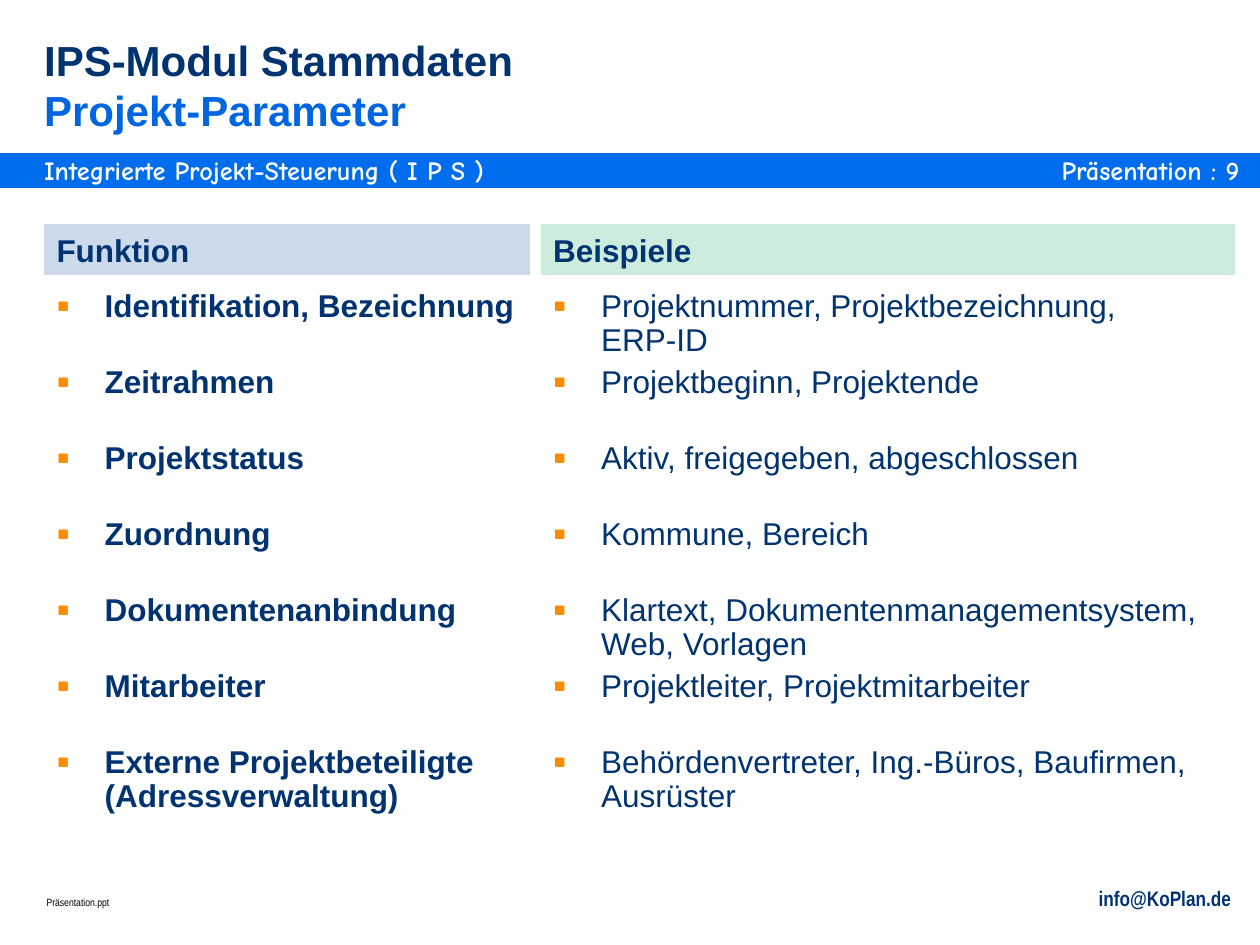
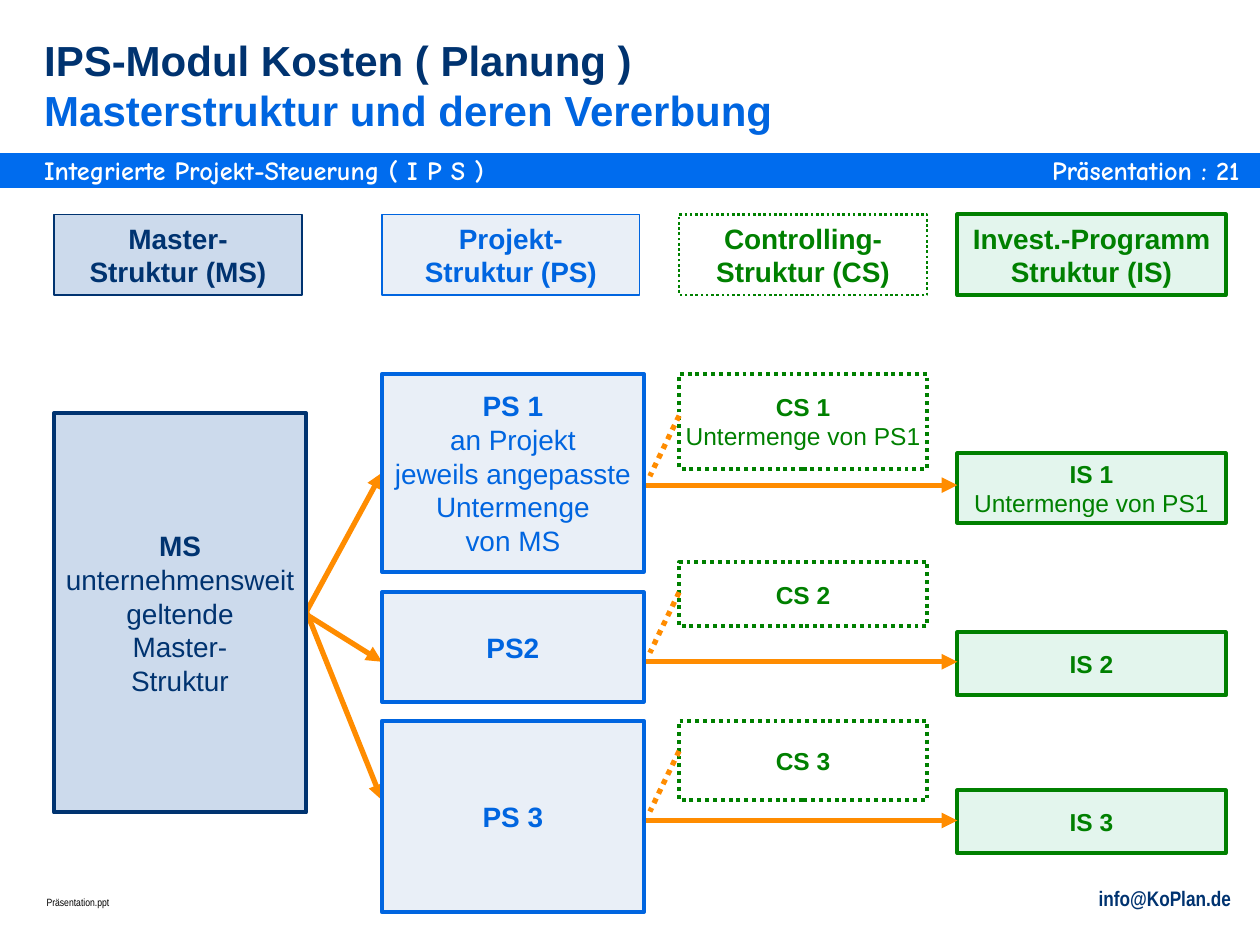
"""Build two slides on the IPS modules: project parameters and cost structures."""
from dataclasses import dataclass

from lxml import etree
from pptx import Presentation
from pptx import util as u
from pptx.dml.color import RGBColor
from pptx.enum import dml, shapes, text
from pptx.oxml import ns


@dataclass(frozen=True)
class Theme:
    """Colours, fonts and type sizes of the deck."""
    navy: str = "003370"
    blue: str = "0065E0"
    band: str = "006CEE"
    green: str = "008000"
    orange: str = "FF8C00"
    white: str = "FFFFFF"
    black: str = "000000"
    pale_navy: str = "CCDAEC"
    pale_blue: str = "E9EFF7"
    pale_green: str = "E3F5ED"
    mint: str = "CCECDE"
    sans: str = "Arial"
    narrow: str = "Arial Narrow"
    casual: str = "Comic Neue"
    title: float = 24
    body: float = 18
    box: float = 16
    detail: float = 14
    banner: float = 15
    contact: float = 12
    tiny: float = 6


T = Theme()
LEFT = 0.89
INSET = (0.25, 0.13)
LIST_PITCH, LIST_LINE, LINE_CHARS = 43.4, 19.45, 40

PARAMETERS = [
    ("Identifikation, Bezeichnung", "Projektnummer, Projektbezeichnung,\vERP-ID"),
    ("Zeitrahmen", "Projektbeginn, Projektende"),
    ("Projektstatus", "Aktiv, freigegeben, abgeschlossen"),
    ("Zuordnung", "Kommune, Bereich"),
    ("Dokumentenanbindung", "Klartext, Dokumentenmanagementsystem, Web, Vorlagen"),
    ("Mitarbeiter", "Projektleiter, Projektmitarbeiter"),
    ("Externe Projektbeteiligte\v(Adressverwaltung)",
     "Behördenvertreter, Ing.-Büros, Baufirmen, Ausrüster"),
]


@dataclass(frozen=True)
class Structure:
    """One column of boxes: place, look, heading and (top, height, lines) per box."""
    left: float
    width: float
    fill: str
    ink: str
    size: float
    heading: str
    heading_width: float
    heading_line: float
    boxes: tuple
    dotted: bool = False


MASTER = Structure(
    1.09, 5.08, T.pale_navy, T.navy, T.box, "Master-\vStruktur (MS)", 5, 0.75,
    ((8.33, 8.05, ("MS", "unternehmensweit", "geltende", "Master-", "Struktur")),))
PROJECT = Structure(
    7.7, 5.28, T.pale_blue, T.blue, T.box, "Projekt-\vStruktur (PS)", 5.2, 0.75,
    ((7.54, 3.99, ("PS 1", "an Projekt", "jeweils angepasste", "Untermenge", "von MS")),
     (11.94, 2.21, ("PS2",)),
     (14.53, 3.86, ("PS 3",))))
CONTROLLING = Structure(
    13.69, 5, None, T.green, T.detail, "Controlling-Struktur (CS)", 5, 1.5,
    ((7.54, 1.91, ("CS 1", "Untermenge von PS1")),
     (11.33, 1.3, ("CS 2",)),
     (14.53, 1.6, ("CS 3",))), dotted=True)
INVEST = Structure(
    19.3, 5.41, T.pale_green, T.green, T.detail, "Invest.-Programm\vStruktur (IS)", 5.41, 2.25,
    ((9.14, 1.4, ("IS 1", "Untermenge von PS1")),
     (12.75, 1.27, ("IS 2",)),
     (15.93, 1.27, ("IS 3",))))


def apply(target, **values):
    """Set every given value as an attribute of the target."""
    for name, value in values.items():
        setattr(target, name, value)


def place(shape, left, top, width, height):
    """Move and size a shape in centimetres."""
    apply(shape, left=u.Cm(left), top=u.Cm(top), width=u.Cm(width), height=u.Cm(height))


def set_frame(shape, inset=INSET, anchor=text.MSO_ANCHOR.TOP, wrap=True):
    """Set insets, anchor and wrapping, and return the text frame."""
    side, end = map(u.Cm, inset)
    apply(shape.text_frame, margin_left=side, margin_right=side, margin_top=end,
          margin_bottom=end, vertical_anchor=anchor, word_wrap=wrap,
          auto_size=text.MSO_AUTO_SIZE.NONE)
    return shape.text_frame


def style(font, size, colour, bold=False, name=T.sans):
    """Format a font."""
    apply(font, size=u.Pt(size), bold=bold, name=name)
    font.color.rgb = RGBColor.from_string(colour)


def write(frame, lines, align=text.PP_ALIGN.LEFT):
    """Write one paragraph per (words, font values) pair and return them."""
    for index, (words, look) in enumerate(lines):
        paragraph = frame.add_paragraph() if index else frame.paragraphs[0]
        paragraph.text = words
        apply(paragraph, alignment=align, space_before=u.Pt(0))
        for run in paragraph.runs:
            style(run.font, **look)
    return frame.paragraphs


def add_label(slide, area, words, look, inset=INSET, align=text.PP_ALIGN.LEFT):
    """Add a one-line text box."""
    label = slide.shapes.add_textbox(0, 0, 0, 0)
    place(label, *area)
    write(set_frame(label, inset), [(words, look)], align)


def add_box(slide, area, fill, line=None, line_width=0, dotted=False):
    """Add a flat rectangle."""
    box = slide.shapes.add_shape(shapes.MSO_SHAPE.RECTANGLE, 0, 0, 0, 0)
    place(box, *area)
    box.shadow.inherit = False
    paint(box, fill)
    if line:
        draw_line(box.line, line, line_width, dotted)
    else:
        box.line.fill.background()
    return box


def paint(shape, fill):
    """Fill a shape with a colour or leave it clear."""
    if fill:
        shape.fill.solid()
        shape.fill.fore_color.rgb = RGBColor.from_string(fill)
    else:
        shape.fill.background()


def draw_line(line, colour, width, dotted=False):
    """Format an outline or a connector line."""
    line.color.rgb = RGBColor.from_string(colour)
    line.width = u.Pt(width)
    if dotted:
        line.dash_style = dml.MSO_LINE.ROUND_DOT


def add_link(slide, start, end, dotted=False):
    """Add an orange arrow, or a dotted line without a head."""
    link = slide.shapes.add_connector(
        shapes.MSO_CONNECTOR.STRAIGHT, *map(u.Cm, (*start, *end)))
    draw_line(link.line, T.orange, 3, dotted)
    properties = link.line._get_or_add_ln()
    if not dotted:
        etree.SubElement(properties, ns.qn("a:tailEnd"), type="triangle")
    etree.SubElement(link._element.spPr, ns.qn("a:effectLst"))


def add_bullet(paragraph):
    """Give a paragraph a hanging orange square."""
    properties = paragraph._p.get_or_add_pPr()
    hang = u.Cm(0.97)
    properties.set("marL", str(hang))
    properties.set("indent", str(-hang))
    colour = etree.SubElement(properties, ns.qn("a:buClr"))
    etree.SubElement(colour, ns.qn("a:srgbClr"), val=T.orange)
    etree.SubElement(properties, ns.qn("a:buSzPct"), val="120000")
    etree.SubElement(properties, ns.qn("a:buChar"), char="▪")


def fill_list(holder, area, items, bold):
    """Fill a body placeholder with bullets that keep a two-line pitch."""
    place(holder, *area)
    look = dict(size=T.body, colour=T.navy, bold=bold)
    entries = write(set_frame(holder), [(item, look) for item in items])
    for entry, item in zip(entries, items):
        add_bullet(entry)
        rows = 1 + (len(item) > LINE_CHARS)
        apply(entry, line_spacing=0.9, space_after=u.Pt(LIST_PITCH - rows * LIST_LINE))


def fill_column_head(holder, area, words, fill):
    """Fill a coloured column heading."""
    place(holder, *area)
    paint(holder, fill)
    write(set_frame(holder), [(words, dict(size=T.body, colour=T.navy, bold=True))])


def start_slide(deck, layout, module, topic, number):
    """Add a slide with its two-line title, blue band and footers."""
    slide = deck.slides.add_slide(deck.slide_layouts[layout])
    place(slide.shapes.title, LEFT, 0.71, 22.4, 2.01)
    frame = set_frame(slide.shapes.title, (0, 0), text.MSO_ANCHOR.BOTTOM)
    heading, = write(frame, [(module, dict(size=T.title, colour=T.navy, bold=True))])
    heading.line_spacing = u.Pt(28.5)
    heading.add_line_break()
    subject = heading.add_run()
    subject.text = topic
    style(subject.font, T.title, T.blue, True)

    add_box(slide, (0, 3.12, 25.4, 0.64), T.band, T.band, 2)
    banner = dict(size=T.banner, colour=T.white, bold=True, name=T.casual)
    right = text.PP_ALIGN.RIGHT
    add_label(slide, (LEFT, 3.12, 18, 0.64), "Integrierte Projekt-Steuerung ( I P S )",
              banner, (0, 0))
    add_label(slide, (19.3, 3.12, 5.69, 0.64), f"Präsentation : {number}",
              banner, (0, 0), right)
    add_label(slide, (14.71, 17.73, 10.36, 0.76), "info@KoPlan.de",
              dict(size=T.contact, colour=T.navy, bold=True, name=T.narrow), align=right)
    add_label(slide, (0.69, 17.93, 10.36, 0.51), "Präsentation.ppt",
              dict(size=T.tiny, colour=T.black, name=T.narrow))
    return slide


def add_structure(slide, column):
    """Add the heading box of a structure and the boxes below it."""
    entries = [(4.32, 1.63, (column.heading,), column.heading_width,
                column.heading_line, T.box)]
    entries += [(*box, column.width, 2.25, column.size) for box in column.boxes]
    for top, height, lines, width, line_width, size in entries:
        box = add_box(slide, (column.left, top, width, height), column.fill,
                      column.ink, line_width, column.dotted)
        is_heading = lines == (column.heading,)
        frame = set_frame(box, anchor=text.MSO_ANCHOR.MIDDLE,
                          wrap=is_heading and column is not INVEST)
        looks = [dict(size=size, colour=column.ink, bold=not row)
                 for row in range(len(lines))]
        write(frame, zip(lines, looks), text.PP_ALIGN.CENTER)


def build_parameters(deck):
    """Build the slide with functions and examples."""
    slide = start_slide(deck, 4, "IPS-Modul Stammdaten", "Projekt-Parameter", 9)
    functions, examples = zip(*PARAMETERS)
    columns = [("Funktion", functions, LEFT, 9.8, T.pale_navy, True),
               ("Beispiele", examples, 10.9, 14, T.mint, False)]
    for index, (head, items, left, width, fill, bold) in enumerate(columns):
        fill_column_head(slide.placeholders[2 * index + 1],
                         (left, 4.52, width, 1.02), head, fill)
        fill_list(slide.placeholders[2 * index + 2],
                  (left, 5.72, width, 11.81), items, bold)


def build_inheritance(deck):
    """Build the slide with the four structures and their links."""
    slide = start_slide(deck, 5, "IPS-Modul Kosten ( Planung )",
                        "Masterstruktur und deren Vererbung", 21)
    for start, target in [((6.17, 12.34), 9.53), ((6.1, 12.34), 13.34), ((6.1, 12.14), 16.13)]:
        add_link(slide, start, (PROJECT.left, target))
    for column in (MASTER, CONTROLLING, INVEST):
        add_structure(slide, column)
    for level in (9.78, 13.34, 16.54):
        add_link(slide, (12.9, level), (INVEST.left, level))
        add_link(slide, (CONTROLLING.left, level - 1.4), (13.1, level - 0.18), dotted=True)
    add_structure(slide, PROJECT)


def main():
    """Build and save the deck."""
    deck = Presentation()
    apply(deck, slide_width=u.Cm(25.4), slide_height=u.Cm(19.05))
    build_parameters(deck)
    build_inheritance(deck)
    deck.save("out.pptx")


if __name__ == "__main__":
    main()
